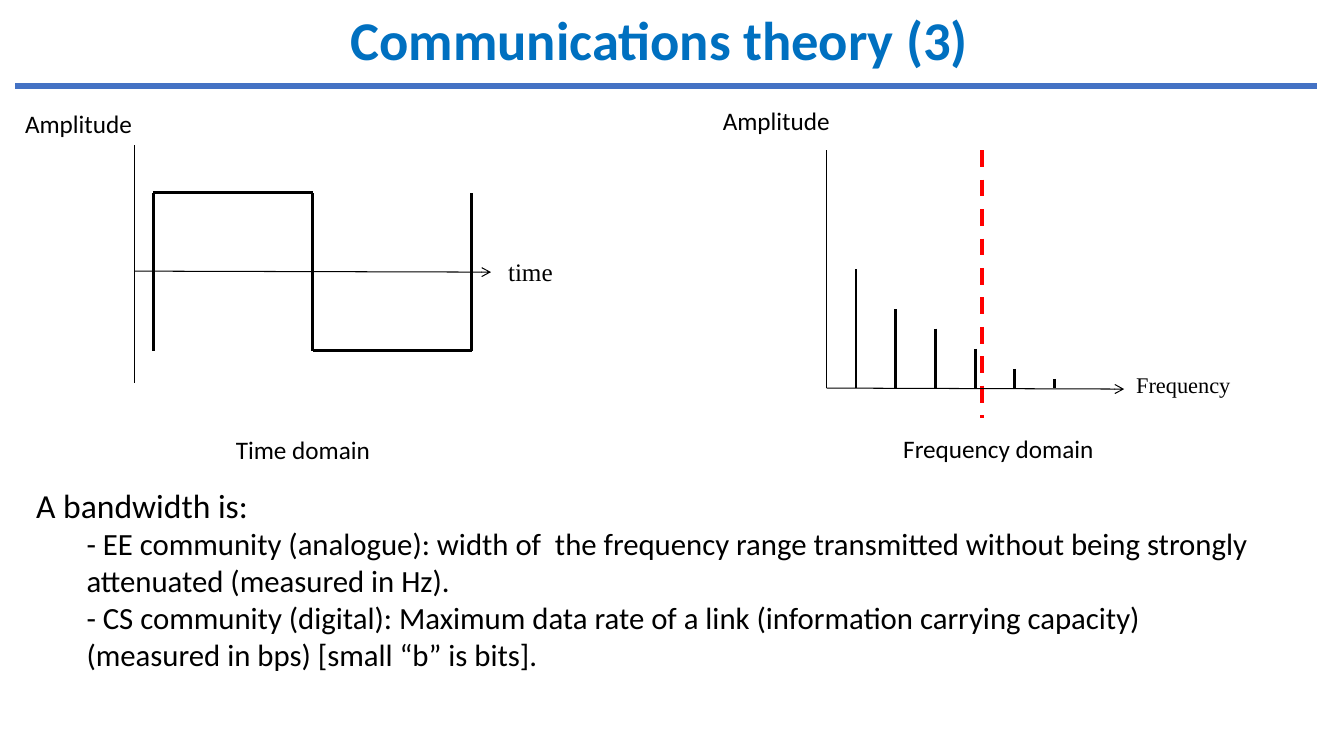
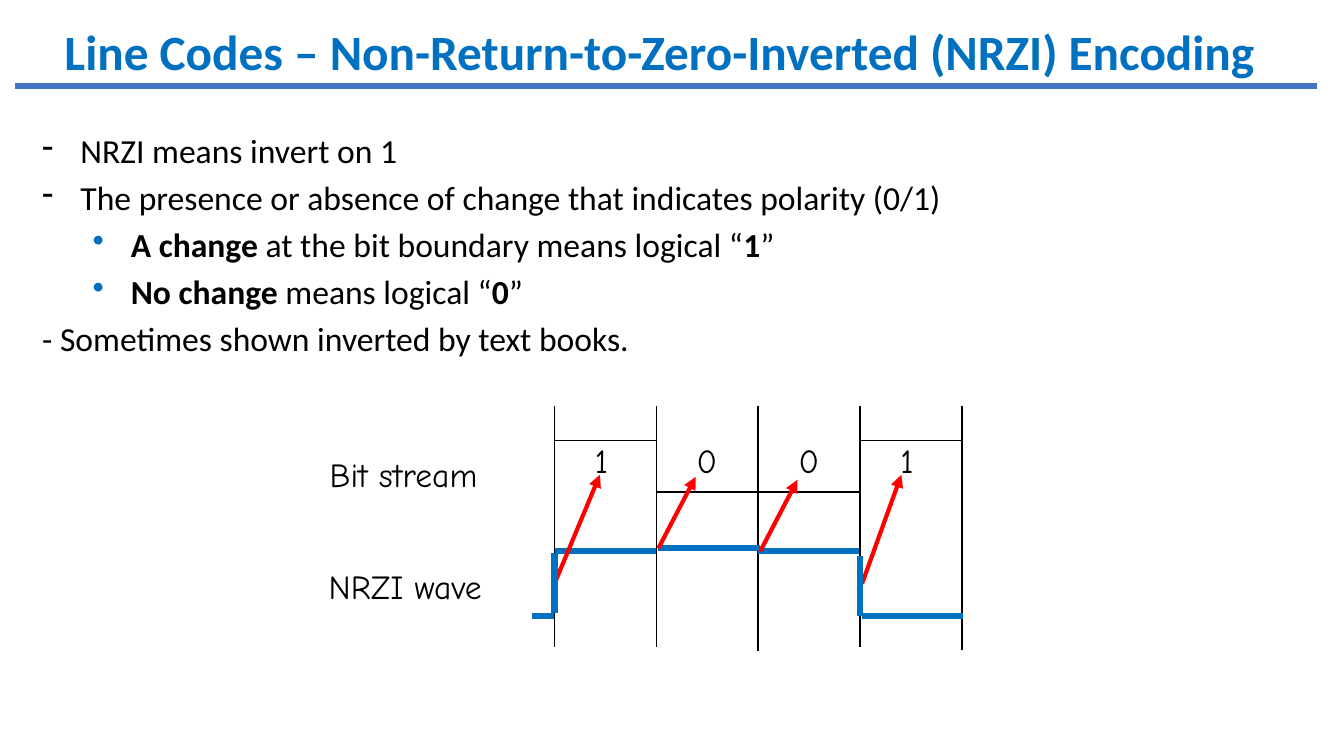
from lxml.etree import SubElement as Sub
from pptx import Presentation
from pptx.dml.color import RGBColor as RGB
from pptx.enum.dml import MSO_LINE as Dash
from pptx.enum.shapes import MSO_CONNECTOR as Conn
from pptx.enum.text import MSO_ANCHOR as Anchor, MSO_AUTO_SIZE as Auto, PP_ALIGN as Align
from pptx.oxml.ns import qn
from pptx.util import Inches, Pt

BLACK = RGB(0, 0, 0)
BLUE = RGB(0x00, 0x70, 0xC0)
RULE = RGB(0x44, 0x72, 0xC4)
RED = RGB(0xFF, 0, 0)
SANS, SERIF, COMIC = "Calibri", "Times New Roman", "Comic Neue"
WIDE, HIGH = 13.33, 7.5

THEORY = ("Communications theory (3)", 39, 0.01, 0.9)
CODES = ("Line Codes – Non-Return-to-Zero-Inverted (NRZI) Encoding", 35.2, 0.17, 0.7)

LABELS = [
    ("Time domain", 2.24, 4.26, 1.65, SANS, 18),
    ("Frequency domain", 8.86, 4.25, 2.11, SANS, 18),
    ("Amplitude", 0.15, 1.03, 1.42, SANS, 18),
    ("Amplitude", 7.07, 1.0, 1.42, SANS, 18),
    ("time", 4.94, 2.49, 0.65, SERIF, 18),
    ("Frequency", 11.17, 3.63, 1.24, SERIF, 16),
]
BARS = [1.18, 0.78, 0.59, 0.39, 0.19, 0.09]

BAND = [
    (0, 0, None, 24, [("A bandwidth is:", False)]),
    (0.5, 0, None, 22, [("- EE community (analogue): width of  the frequency range transmitted "
                         "without being strongly attenuated (measured in Hz).", False)]),
    (0.5, 0, None, 22, [("- CS community (digital): Maximum data rate of a link (information "
                         "carrying capacity) (measured in bps) [small “b” is bits].", False)]),
]
DASH, DOT = ("-", BLACK), ("•", BLUE)
NRZI = [
    (0.38, -0.38, DASH, 24, [("NRZI means invert on 1", False)]),
    (0.38, -0.38, DASH, 24, [("The presence or absence of change that indicates polarity (0/1)", False)]),
    (0.88, -0.38, DOT, 24, [("A change ", True), ("at the bit boundary means logical “", False),
                            ("1", True), ("”", False)]),
    (0.88, -0.38, DOT, 24, [("No change ", True), ("means logical “", False),
                            ("0", True), ("”", False)]),
    (0, 0, None, 24, [("- Sometimes shown inverted by text books.", False)]),
]
BITS = "1001"
TAGS = [("Bit stream", 3.27, 4.5, 1.65), ("NRZI wave", 3.26, 5.61, 1.73)]
ENDS = [6.42, 6.42, 6.46, 6.42, 6.45]
STEPS = [(0, 1, 4.37), (1, 3, 4.88), (3, 4, 4.37)]
TIPS = [(5.5, 5.79, 5.95, 4.71), (8.55, 5.79, 8.94, 4.71),
        (6.53, 5.44, 6.9, 4.73), (7.54, 5.47, 7.91, 4.76)]
TOPS = [(5.5, 5.47, 6.51, 5.47), (7.52, 5.47, 8.52, 5.47), (6.53, 5.44, 7.54, 5.44)]
LOWS = [(8.55, 6.11, 9.55, 6.11), (5.28, 6.11, 5.49, 6.11),
        (8.53, 6.11, 8.53, 5.52), (5.5, 6.08, 5.5, 5.49)]


def apply(obj, form):
    for key, val in form.items():
        setattr(obj, key, val)


def line(slide, ends, width, color=BLACK, head=None, dash=None):
    con = slide.shapes.add_connector(Conn.STRAIGHT, *map(Inches, ends))
    con.line.color.rgb = color
    con.line.width = Pt(width)
    if dash:
        con.line.dash_style = dash
    if head:
        Sub(con.line._get_or_add_ln(), qn("a:tailEnd"), type=head)
    Sub(con._element.spPr, qn("a:effectLst"))


def box(slide, x, y, w, h, form):
    frame = slide.shapes.add_textbox(*map(Inches, (x, y, w, h))).text_frame
    apply(frame, form)
    return frame


def write(para, text, size, name=SANS, color=BLACK, bold=False):
    run = para.add_run()
    run.text = text
    apply(run.font, {"size": Pt(size), "name": name, "bold": bold})
    run.font.color.rgb = color


def label(slide, text, x, y, w, name, size, pad=None):
    form = {"word_wrap": False, "auto_size": Auto.SHAPE_TO_FIT_TEXT}
    if pad is not None:
        form |= dict.fromkeys(("margin_left", "margin_right", "margin_top", "margin_bottom"), pad)
    write(box(slide, x, y, w, 0.4, form).paragraphs[0], text, size, name)


def body(slide, x, y, w, h, items, gap=0):
    frame = box(slide, x, y, w, h, {"word_wrap": True})
    for i, (left, hang, mark, size, runs) in enumerate(items):
        para = frame.add_paragraph() if i else frame.paragraphs[0]
        para.space_before = Pt(gap if i else 0)
        props = para._p.get_or_add_pPr()
        props.set("marL", str(Inches(left)))
        props.set("indent", str(Inches(hang)))
        if mark:
            Sub(Sub(props, qn("a:buClr")), qn("a:srgbClr"), val=str(mark[1]))
            Sub(props, qn("a:buChar"), char=mark[0])
        for text, bold in runs:
            write(para, text, size, bold=bold)


def start(deck, title, size, y, space):
    slide = deck.slides.add_slide(deck.slide_layouts[6])
    frame = box(slide, 0.08, y, 12.92, 0.82, {"word_wrap": True, "vertical_anchor": Anchor.MIDDLE})
    para = frame.paragraphs[0]
    apply(para, {"alignment": Align.CENTER, "line_spacing": space})
    write(para, title, size, color=BLUE, bold=True)
    line(slide, (0.15, 0.85, 13.06, 0.85), 4.5, RULE)
    return slide


def theory(deck):
    slide = start(deck, *THEORY)
    line(slide, (9.74, 1.49, 9.74, 4.15), 3, RED, dash=Dash.DASH)
    top, low = 1.91, 3.48
    xs = [1.52 + 1.58 * i for i in range(3)]
    for x in xs:
        line(slide, (x, low, x, top), 2)
    for a, b, y in zip(xs, xs[1:], (top, low)):
        line(slide, (a, y, b, y), 2)
    for i, tall in enumerate(BARS):
        x = 8.49 + 0.394 * i
        line(slide, (x, 3.85 - tall, x, 3.85), 2)
    for x, y, end, base, tip in ((1.33, 1.44, 3.8, 2.69, 4.87), (8.2, 1.49, 3.85, 3.85, 11.15)):
        line(slide, (x, y, x, end), 0.75)
        line(slide, (x, base, tip, base + 0.01), 0.75, head="arrow")
    for item in LABELS:
        label(slide, *item)
    body(slide, 0.26, 4.76, 12.52, 1.99, BAND)


def codes(deck):
    slide = start(deck, *CODES)
    body(slide, 0.32, 1.24, 12.74, 2.44, NRZI, 4.8)
    cols = [5.5 + 1.01 * i for i in range(len(ENDS))]
    for x, end in zip(cols, ENDS):
        line(slide, (x, 4.03, x, end), 1.13)
    for a, b, y in STEPS:
        line(slide, (cols[a], y, cols[b], y), 1.13)
    for x, bit in zip(cols, BITS):
        label(slide, bit, x + 0.4, 4.36, 0.15 if bit == "1" else 0.2, COMIC, 24, 0)
    for tag in TAGS:
        label(slide, *tag, COMIC, 24, 0)
    for ends in TOPS:
        line(slide, ends, 4.5, BLUE)
    for ends in TIPS:
        line(slide, ends, 3, RED, "triangle")
    for ends in LOWS:
        line(slide, ends, 4.5, BLUE)


def main():
    deck = Presentation()
    apply(deck, {"slide_width": Inches(WIDE), "slide_height": Inches(HIGH)})
    theory(deck)
    codes(deck)
    deck.save("out.pptx")


if __name__ == "__main__":
    main()
